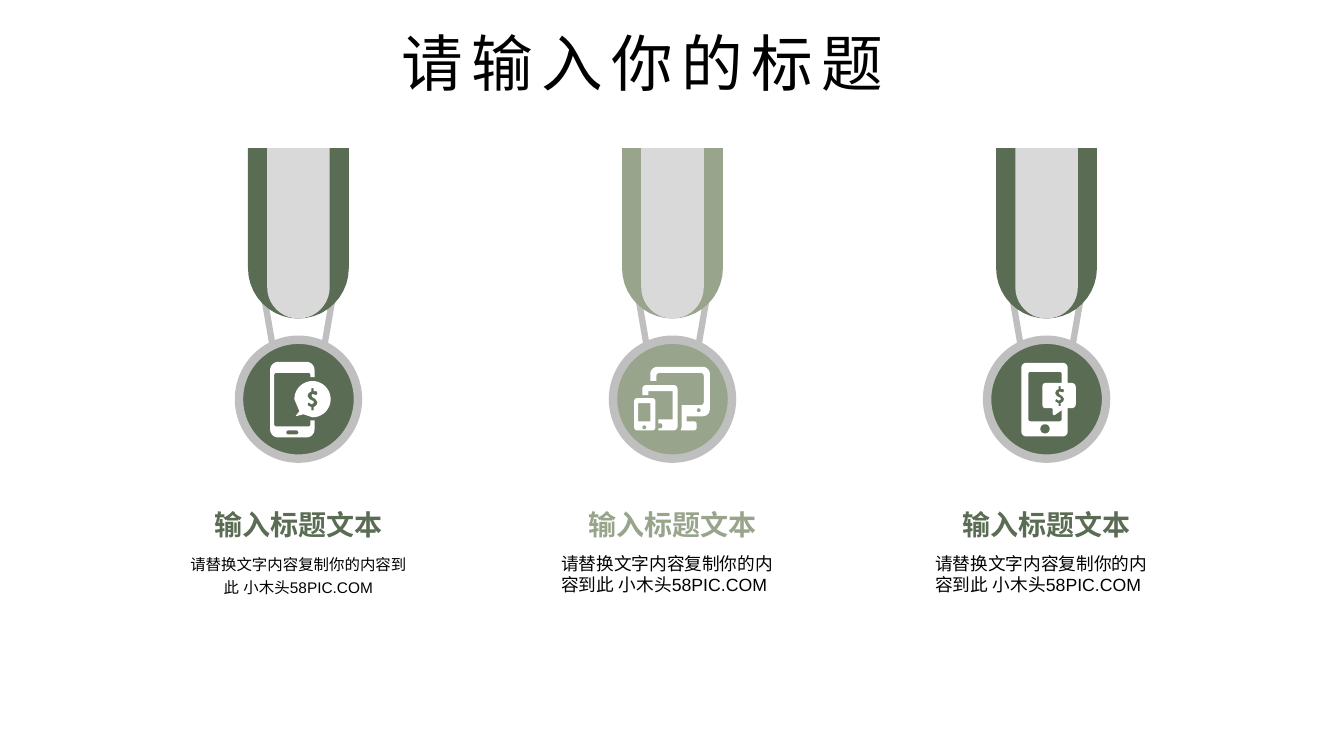
"""Build a slide with three hanging medals, each with an icon, a label and a description."""
from math import cos, hypot, pi, sin

from lxml.etree import SubElement
from pptx import Presentation
from pptx.dml.color import RGBColor
from pptx.enum.shapes import MSO_SHAPE
from pptx.enum.text import MSO_ANCHOR, PP_ALIGN
from pptx.oxml.ns import qn
from pptx.util import Inches, Pt

COLORS = {"dark": "5B6C54", "light": "98A58C", "ring": "BFBFBF",
          "stripe": "D9D9D9", "white": "FFFFFF", "black": "000000"}
TITLE = "请输入你的标题"
LABEL = "输入标题文本"
DESCRIPTION = "请替换文字内容复制你的内容到此 小木头58PIC.COM"
CENTERED = {"size": 11, "align": PP_ALIGN.CENTER, "spacing": 1.2}
LEFT = {"size": 12.6, "align": PP_ALIGN.LEFT}

FIRST_CENTER, PITCH, DISC_CENTER = 2.96, 3.71, 3.96
RIBBON_TOP, RIBBON_HEIGHT = 1.47, 1.69
TEXT_WIDTH = 2.21

DOLLAR = [(-.01, -.11), (.01, -.11), (.01, -.08), (.04, -.08), (.05, -.06), (.04, -.04),
          (0, -.05), (-.01, -.04), (0, -.02), (.03, 0), (.05, .03), (.04, .06),
          (.01, .08), (.01, .11), (-.01, .11), (-.01, .08), (-.05, .06), (-.04, .03),
          (-.01, .05), (.01, .04), (.01, .02), (-.03, 0), (-.05, -.03), (-.04, -.06),
          (-.01, -.08)]


def box(left, top, right, bottom, radius=0):
    """Return the corners of a rectangle with rounded corners."""
    return [(left, top, radius), (right, top, radius),
            (right, bottom, radius), (left, bottom, radius)]


def dollar(x, y, scale=1):
    """Return the dollar sign centred on a point."""
    return [(x + dx * scale, y + dy * scale) for dx, dy in DOLLAR]


PAYING_PHONE = [
    box(-.12, .31, 0, .35, .02),
    [(-.28, -.37, .08), (.16, -.37, .08), (.16, -.22), (.12, -.22), (.12, -.26, .02),
     (-.24, -.26, .02), (-.24, .27, .02), (.12, .27, .02), (.12, .21), (.16, .21),
     (.16, .38, .08), (-.28, .38, .08)],
    [(-.04, 0), (-.04, -.18, .18), (.32, -.18, .18), (.32, .18, .18), (.14, .18),
     (.05, .15), (-.03, .17, .01), (.01, .12)],
    dollar(.14, 0)]
DEVICES = [
    box(-.38, -.01, -.17, .31, .03),
    box(-.34, .04, -.22, .22),
    box(-.3, .26, -.26, .3, .02),
    [(-.3, -.14, .04), (.05, -.14, .04), (.05, .31, .04), (-.14, .31), (-.14, .29),
     (-.1, .29, .02), (-.1, .24, .02), (-.14, .24), (-.14, .2), (0, .2), (0, -.08),
     (-.24, -.08), (-.24, -.04), (-.3, -.04)],
    [(-.22, -.32, .07), (.37, -.32, .07), (.37, .17, .07), (.14, .17), (.14, .22),
     (.24, .22, .03), (.24, .31, .03), (.08, .31), (.09, .28), (.09, .06),
     (.31, .06, .03), (.31, -.26, .03), (-.16, -.26, .03), (-.16, -.18), (-.22, -.18)],
    box(.24, .09, .28, .13, .02)]
CHAT_PHONE = [
    box(-.06, .25, .03, .34, .04),
    [(-.25, -.36, .05), (.21, -.36, .05), (.21, -.16), (.29, -.16, .04), (.29, .09, .04),
     (.21, .09), (.21, .37, .05), (-.25, .37, .05)],
    [(-.18, -.27, .02), (.15, -.27, .02), (.15, -.16), (-.04, -.16, .03),
     (-.04, .09, .03), (.06, .09, .01), (.06, .16, .02), (.08, .16), (.15, .11),
     (.15, .22, .02), (-.18, .22, .02)],
    dollar(.13, -.03, .9)]
MEDALS = [("dark", PAYING_PHONE, CENTERED), ("light", DEVICES, LEFT),
          ("dark", CHAT_PHONE, LEFT)]


def color(name):
    return RGBColor.from_string(COLORS[name])


def write(frame, text, size, ink="black", face="Arial", bold=False,
          align=PP_ALIGN.CENTER, spacing=None, tracking=None, wrap=True, inset=0):
    """Put one formatted paragraph into a text frame."""
    frame.word_wrap = wrap
    frame.vertical_anchor = MSO_ANCHOR.MIDDLE
    frame.margin_left = frame.margin_right = Inches(inset)
    frame.margin_top = frame.margin_bottom = Inches(inset / 2)
    paragraph = frame.paragraphs[0]
    paragraph.alignment = align
    paragraph.line_spacing = spacing
    run = paragraph.add_run()
    run.text = text
    run.font.size, run.font.bold, run.font.name = Pt(size), bold, face
    run.font.color.rgb = color(ink)
    properties = run._r.get_or_add_rPr()
    SubElement(properties, qn("a:ea")).set("typeface", face)
    if tracking:
        properties.set("spc", str(tracking * 100))


def rounded(corners, steps=10):
    """Turn (x, y, radius) corners into the points of a closed outline."""
    points = []
    for i, (x, y, *radius) in enumerate(corners):
        if not radius or not radius[0]:
            points.append((x, y))
            continue
        arms = []
        for other in (corners[i - 1], corners[(i + 1) % len(corners)]):
            dx, dy = other[0] - x, other[1] - y
            reach = radius[0] / hypot(dx, dy)
            arms.append((dx * reach, dy * reach))
        (ux, uy), (vx, vy) = arms
        for step in range(steps + 1):
            u = 1 - sin(pi / 2 * step / steps)
            v = 1 - cos(pi / 2 * step / steps)
            points.append((x + ux * u + vx * v, y + uy * u + vy * v))
    return points


def add_outline(shapes, contours, x, y, fill):
    """Draw contours as one filled freeform, measured from a point."""
    paths = [[(Inches(x + px), Inches(y + py)) for px, py in rounded(contour)]
             for contour in contours]
    builder = shapes.build_freeform(*paths[0][0])
    for i, (start, *rest) in enumerate(paths):
        if i:
            builder.move_to(*start)
        builder.add_line_segments(rest, close=True)
    outline = builder.convert_to_shape()
    outline.shadow.inherit = False
    outline.fill.solid()
    outline.fill.fore_color.rgb = color(fill)
    outline.line.fill.background()


def add_ringed(shapes, kind, center, top, width, height, line_width, fill=None):
    """Draw a preset shape with a grey line, centred on a column."""
    ringed = shapes.add_shape(kind, Inches(center - width / 2), Inches(top),
                              Inches(width), Inches(height))
    ringed.shadow.inherit = False
    if fill:
        ringed.fill.solid()
        ringed.fill.fore_color.rgb = color(fill)
    else:
        ringed.fill.background()
    ringed.line.color.rgb = color("ring")
    ringed.line.width = Pt(line_width)
    return ringed


def add_medal(slide, center, tone, icon, description_format):
    shapes = slide.shapes.add_group_shape().shapes
    strap = add_ringed(shapes, MSO_SHAPE.TRAPEZOID, center, 2.86, .71, 1.03, 4.5)
    strap.rotation = 180
    add_ringed(shapes, MSO_SHAPE.OVAL, center, DISC_CENTER - .59, 1.18, 1.18, 6, tone)
    for half, fill in ((.5, tone), (.31, "stripe")):
        ribbon = [(-half, 0), (half, 0), (half, RIBBON_HEIGHT, half),
                  (-half, RIBBON_HEIGHT, half)]
        add_outline(shapes, [ribbon], center, RIBBON_TOP, fill)
    label_format = {"size": 20, "ink": tone, "bold": True, "wrap": False}
    for text, top, height, style in ((DESCRIPTION, 5.35, .69, description_format),
                                     (LABEL, 5.02, .36, label_format)):
        caption = shapes.add_textbox(Inches(center - TEXT_WIDTH / 2), Inches(top),
                                     Inches(TEXT_WIDTH), Inches(height))
        write(caption.text_frame, text, **style)
    add_outline(shapes, icon, center, DISC_CENTER, "white")


def main():
    deck = Presentation()
    deck.slide_width, deck.slide_height = Inches(13.33), Inches(7.5)
    slide = deck.slides.add_slide(deck.slide_layouts[5])
    title = slide.shapes.title
    title.left, title.top = Inches(3.51), Inches(.19)
    title.width, title.height = Inches(5.72), Inches(.84)
    write(title.text_frame, TITLE, size=44, face="Noto Sans CJK SC", tracking=6, inset=.1)
    for i, medal in enumerate(MEDALS):
        add_medal(slide, FIRST_CENTER + i * PITCH, *medal)
    deck.save("out.pptx")


if __name__ == "__main__":
    main()
